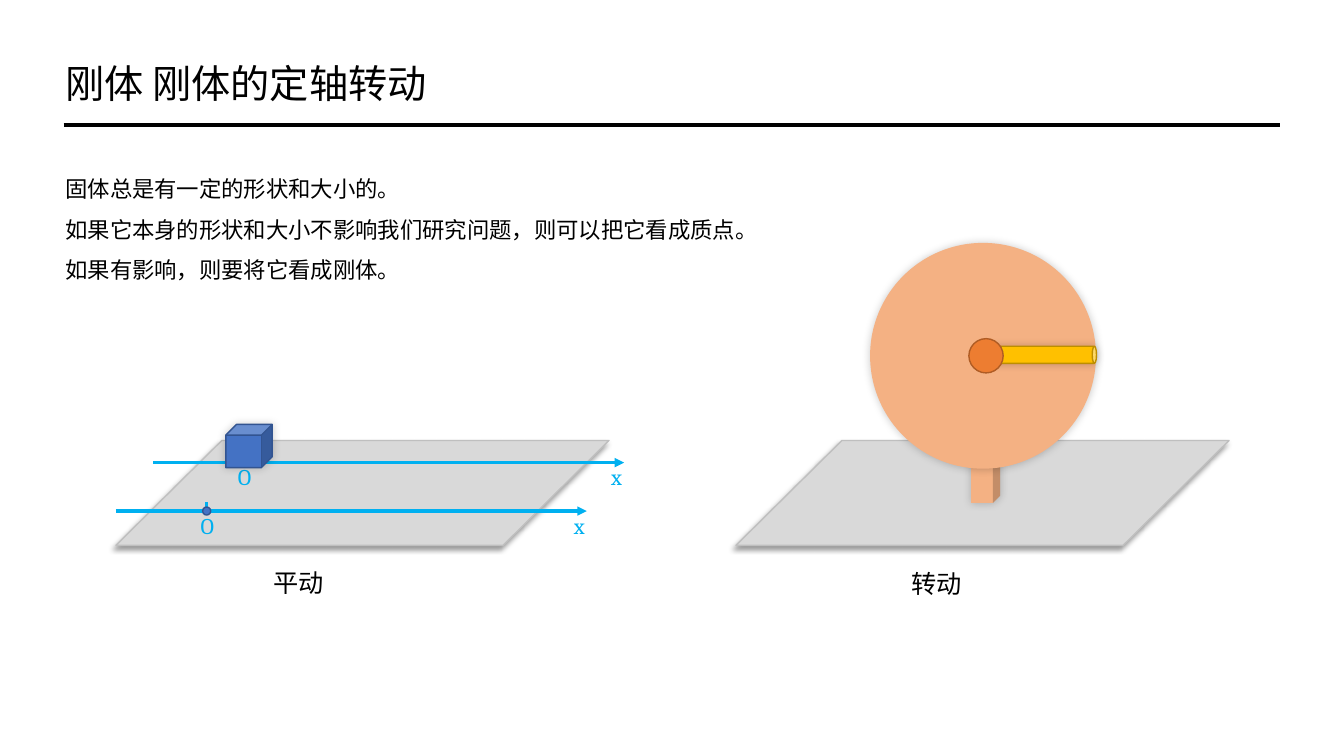
from dataclasses import dataclass

from lxml.etree import SubElement as Sub
from pptx import Presentation
from pptx.dml.color import RGBColor as Rgb
from pptx.enum.shapes import MSO_CONNECTOR as Conn, MSO_SHAPE as Geo
from pptx.enum.text import MSO_AUTO_SIZE as Fit, PP_ALIGN as Align
from pptx.oxml.ns import qn
from pptx.util import Inches, Pt


@dataclass(frozen=True)
class Theme:
    """Colours, fonts and type sizes of the slide."""
    ink: str = "000000"
    axis: str = "00B0F0"
    plane: str = "D9D9D9"
    rim: str = "BFBFBF"
    block: str = "4472C4"
    edge: str = "325491"
    wheel: str = "F4B183"
    rod: str = "FFC000"
    shell: str = "BD8E00"
    hub: str = "ED7D31"
    ring: str = "AF5C24"
    sans: str = "Noto Sans CJK SC"
    serif: str = "Cambria"
    title: int = 28
    label: int = 18
    body: int = 16


def assign(item, form):
    """Set each attribute named in a dict."""
    for key, val in form.items():
        setattr(item, key, val)


class Board:
    """Draws styled elements on the current slide."""
    SOFT = (20, 6, 0, 225)
    CAST = (40, 4, 3, 135)

    def __init__(self, slide, theme):
        """Keep the slide and its theme."""
        self.shapes = slide.shapes
        self.theme = theme

    def text(self, box, lines, size, font=None, tint=None, wrap=True, **form):
        """Add a text box with one paragraph per line."""
        frame = self.shapes.add_textbox(*map(Inches, box)).text_frame
        assign(frame, {"word_wrap": wrap, "auto_size": Fit.SHAPE_TO_FIT_TEXT})
        for i, line in enumerate(lines):
            para = frame.add_paragraph() if i else frame.paragraphs[0]
            assign(para, form)
            run = para.add_run()
            run.text = line
            name = font or self.theme.sans
            assign(run.font, {"name": name, "size": Pt(size)})
            run.font.color.rgb = Rgb.from_string(tint or self.theme.ink)
            Sub(run.font._element, qn("a:ea"), typeface=name)

    def line(self, start, end, tint, arrow=False):
        """Add a straight line, with an arrowhead if wanted."""
        link = self.shapes.add_connector(Conn.STRAIGHT, *map(Inches, start + end))
        link.line.color.rgb = Rgb.from_string(tint)
        link.line.width = Pt(2.25)
        props = link._element.spPr
        if arrow:
            Sub(props.find(qn("a:ln")), qn("a:tailEnd"), type="triangle")
        Sub(props, qn("a:effectLst"))

    def shape(self, kind, box, fill, edge=None, shade=None, **form):
        """Add a filled preset shape with an optional edge and shadow."""
        item = self.shapes.add_shape(kind, *map(Inches, box))
        item.fill.solid()
        item.fill.fore_color.rgb = Rgb.from_string(fill)
        if edge:
            item.line.color.rgb = Rgb.from_string(edge)
            item.line.width = Pt(1)
        else:
            item.line.fill.background()
        item.shadow.inherit = False
        assign(item, form)
        if shade:
            self.shade(item, *shade)
        return item

    def shade(self, item, alpha, blur, dist, angle):
        """Give a shape an outer shadow."""
        list_ = item._element.spPr.find(qn("a:effectLst"))
        drop = Sub(list_, qn("a:outerShdw"), blurRad=str(Pt(blur)),
                   dist=str(Pt(dist)), dir=str(angle * 60000), rotWithShape="0")
        tone = Sub(drop, qn("a:srgbClr"), val=self.theme.ink)
        Sub(tone, qn("a:alpha"), val=str(alpha * 1000))

    def plane(self, left):
        """Add a slanted ground plane."""
        look = self.theme
        item = self.shape(Geo.PARALLELOGRAM, (left, 4.37, 4.89, 1.04),
                          look.plane, look.rim, self.CAST)
        item.adjustments[0] = 1.01

    def axis(self, left, top):
        """Add an x axis with its origin tick and labels."""
        look = self.theme
        zero = left + 0.9
        self.line((left, top), (left + 4.67, top), look.axis, True)
        self.line((zero, top), (zero, top - 0.09), look.axis)
        for mark, x in (("O", left + 0.72), ("x", left + 4.41)):
            self.text((x, top - 0.04, 0.37, 0.37), [mark], look.body, look.serif,
                      look.axis, False, alignment=Align.CENTER)


def main():
    """Build and save the slide."""
    deck = Presentation()
    assign(deck, {"slide_width": Inches(13.33), "slide_height": Inches(7.5)})
    look = Theme()
    board = Board(deck.slides.add_slide(deck.slide_layouts[6]), look)
    soft = board.SOFT

    board.line((0.63, 1.24), (12.7, 1.24), look.ink)
    board.text((0.55, 0.54, 4.7, 0.57), ["刚体 刚体的定轴转动"], look.title,
               alignment=Align.JUSTIFY)
    board.text((0.55, 1.56, 12.15, 1.28), [
        "固体总是有一定的形状和大小的。",
        "如果它本身的形状和大小不影响我们研究问题，则可以把它看成质点。",
        "如果有影响，则要将它看成刚体。",
    ], look.body, line_spacing=1.5)

    board.plane(1.15)
    for left, top in ((1.52, 4.59), (1.15, 5.07)):
        board.axis(left, top)
    board.shape(Geo.CUBE, (2.24, 4.21, 0.46, 0.43), look.block, look.edge, soft)
    board.shape(Geo.OVAL, (2.01, 5.03, 0.08, 0.08), look.block, look.edge)

    board.plane(7.3)
    board.shape(Geo.CUBE, (9.63, 3.19, 0.29, 1.8), look.wheel, shade=soft)
    board.shape(Geo.OVAL, (8.63, 2.41, 2.24, 2.24), look.wheel, shade=soft)
    board.shape(Geo.CAN, (10.23, 2.96, 0.17, 1.12), look.rod, look.shell, soft,
                rotation=90)
    board.shape(Geo.OVAL, (9.61, 3.36, 0.34, 0.34), look.hub, look.ring)

    for name, left, top in (("平动", 2.61, 5.58), ("转动", 8.94, 5.59)):
        board.text((left, top, 1.07, 0.4), [name], look.label,
                   alignment=Align.JUSTIFY)
    deck.save("out.pptx")


if __name__ == "__main__":
    main()
